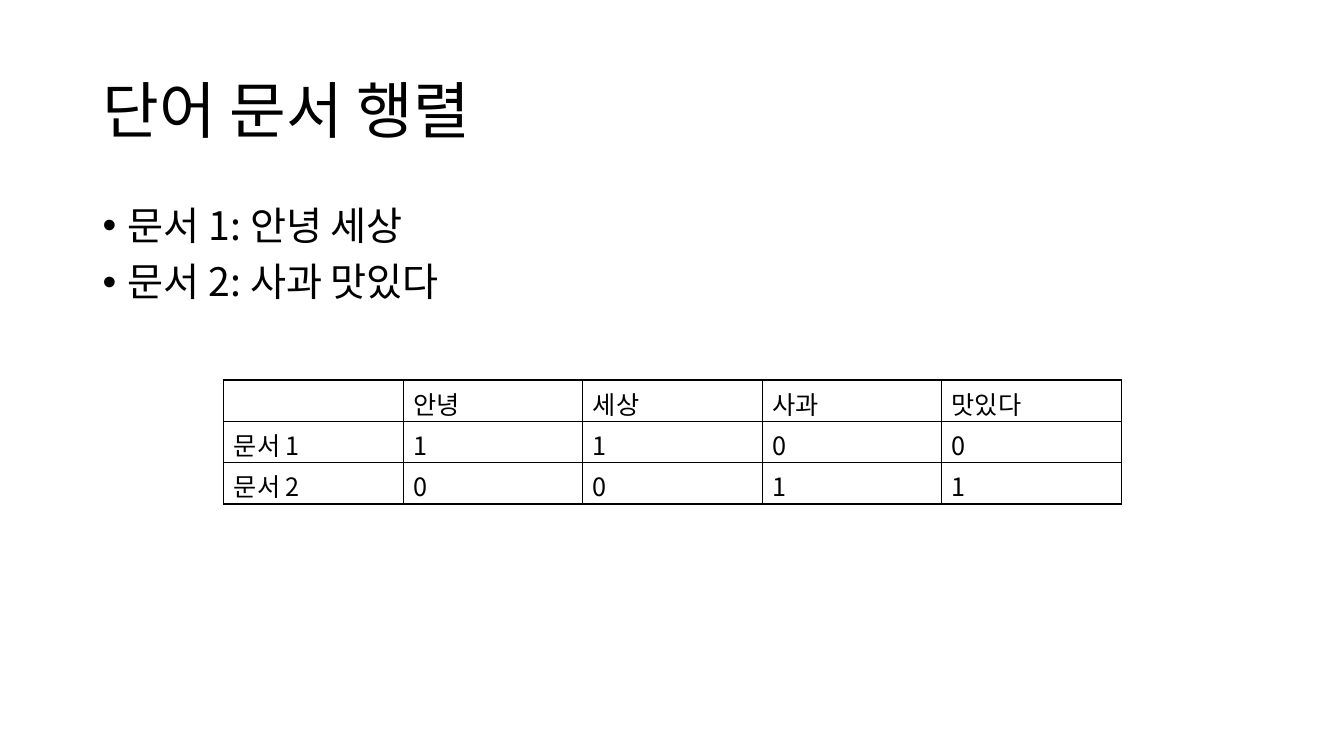
from dataclasses import dataclass

from pptx import Presentation
from pptx.dml.color import RGBColor
from pptx.enum.text import MSO_ANCHOR
from pptx.oxml.ns import qn
from pptx.util import Inches, Length, Pt
from lxml.etree import SubElement

FONT = "Noto Sans CJK KR"
COLORS = {"text": "000000", "border": "000000", "background": "FFFFFF"}


@dataclass
class TextBlock:
    top: float
    height: float
    size: int
    lines: list[str]
    anchor: MSO_ANCHOR = MSO_ANCHOR.TOP
    bulleted: bool = False


TITLE = TextBlock(0.4, 1.45, 44, ["단어 문서 행렬"], MSO_ANCHOR.MIDDLE)
DOCUMENTS = TextBlock(2, 4.76, 28, ["문서 1: 안녕 세상", "문서 2: 사과 맛있다"], bulleted=True)
MATRIX = [
    ["", "안녕", "세상", "사과", "맛있다"],
    ["문서 1", "1", "1", "0", "0"],
    ["문서 2", "0", "0", "1", "1"],
]


def add_run(p, text: str, size: int) -> None:
    r = p.add_run()
    r.text = text
    r.font.size = Pt(size)
    r.font.name = FONT
    r.font.color.rgb = RGBColor.from_string(COLORS["text"])
    SubElement(r.font._element, qn("a:ea"), typeface=FONT)


def add_bullet(p, indent: Length) -> None:
    p.space_before = Pt(10)
    pPr = p._p.get_or_add_pPr()
    pPr.set("marL", str(indent))
    pPr.set("indent", str(-indent))
    SubElement(pPr, qn("a:buFont"), typeface="Arial")
    SubElement(pPr, qn("a:buChar"), char="•")


def add_text(s, block: TextBlock) -> None:
    sp = s.shapes.add_textbox(Inches(0.92), Inches(block.top), Inches(11.5), Inches(block.height))
    tf = sp.text_frame
    tf.word_wrap = True
    tf.vertical_anchor = block.anchor
    for i, line in enumerate(block.lines):
        p = tf.add_paragraph() if i else tf.paragraphs[0]
        p.line_spacing = 0.9
        if block.bulleted:
            add_bullet(p, Inches(0.25))
        add_run(p, line, block.size)


def add_borders(cell) -> None:
    tcPr = cell._tc.get_or_add_tcPr()
    for side in ("lnL", "lnR", "lnT", "lnB"):
        ln = SubElement(tcPr, qn(f"a:{side}"), w=str(Pt(1)))
        fill = SubElement(ln, qn("a:solidFill"))
        SubElement(fill, qn("a:srgbClr"), val=COLORS["border"])


def add_matrix(s, rows: list[list[str]]) -> None:
    col_width, row_height = Inches(1.78), Inches(0.41)
    n_rows, n_cols = len(rows), len(rows[0])
    table = s.shapes.add_table(n_rows, n_cols, Inches(2.22), Inches(3.77),
                               col_width * n_cols, row_height * n_rows).table
    table.first_row = table.horz_banding = False
    for i, row in enumerate(rows):
        for j, text in enumerate(row):
            cell = table.cell(i, j)
            add_borders(cell)
            cell.fill.background()
            if text:
                add_run(cell.text_frame.paragraphs[0], text, 18)


# Blank widescreen slide
prs = Presentation()
prs.slide_width, prs.slide_height = Inches(13.33), Inches(7.5)
s = prs.slides.add_slide(prs.slide_layouts[6])
s.background.fill.solid()
s.background.fill.fore_color.rgb = RGBColor.from_string(COLORS["background"])

# Title and document list
for block in (TITLE, DOCUMENTS):
    add_text(s, block)

# Term-document matrix
add_matrix(s, MATRIX)

prs.save("out.pptx")
